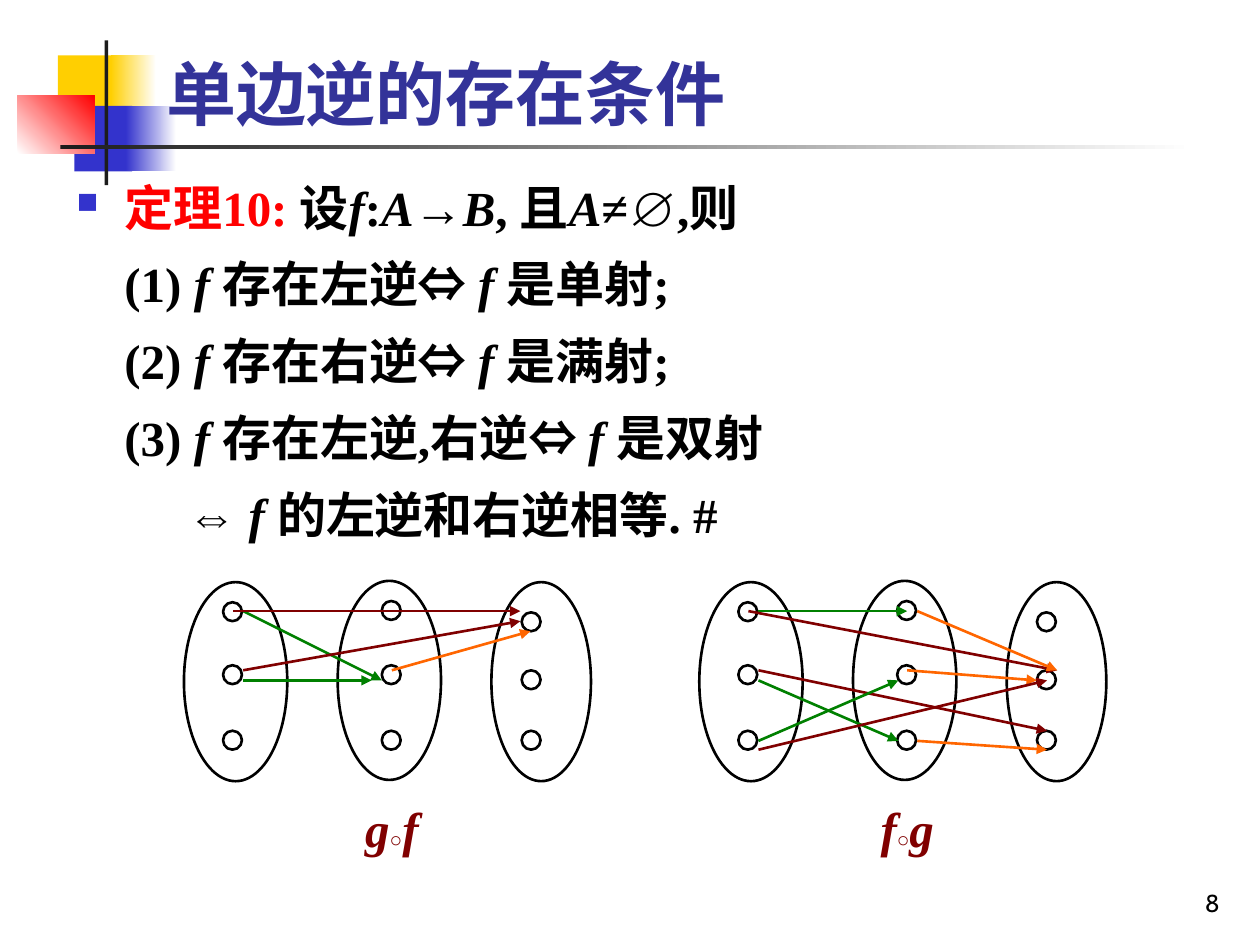
from lxml import etree
from pptx import Presentation
from pptx.dml.color import RGBColor
from pptx.enum.shapes import MSO_CONNECTOR, MSO_SHAPE
from pptx.enum.text import MSO_ANCHOR, PP_ALIGN
from pptx.oxml.ns import qn
from pptx.util import Inches, Pt

RECTANGLE, OVAL = MSO_SHAPE.RECTANGLE, MSO_SHAPE.OVAL
STRAIGHT = MSO_CONNECTOR.STRAIGHT
TOP, BOTTOM = MSO_ANCHOR.TOP, MSO_ANCHOR.BOTTOM
LEFT, RIGHT = PP_ALIGN.LEFT, PP_ALIGN.RIGHT

THEME = {
    "serif": "Times New Roman", "sans": "Cabin",
    "title_size": 40, "body_size": 28, "number_size": 14, "circle_size": 12,
    "title": "333399", "text": "000000", "theorem": "FF0000", "bullet": "3333CC",
    "yellow": "FFCF01", "blue": "3333CC", "red": "FF0000", "dark": "1C1C1C",
    "white": "FFFFFF", "green": "008000", "orange": "FF6600", "maroon": "800000",
    "line_width": 1.5,
}

TITLE = "单边逆的存在条件"
PAGE_NUMBER = "8"
THEOREM = "定理10: "
# Asterisks enclose italic symbols.
BODY = [
    "设*f*:*A*→*B*, 且*A*≠∅,则",
    "\t(1) *f *存在左逆⇔ *f *是单射;",
    "\t(2) *f *存在右逆⇔ *f *是满射;",
    "\t(3) *f *存在左逆,右逆⇔ *f *是双射",
    "\t\t⇔ *f *的左逆和右逆相等. #",
]

DECORATIONS = [
    ((0.46, 0.44, 0.48, 0.52), ["yellow"], 0),
    ((0.88, 0.44, 0.36, 0.52), ["yellow", "white"], 0),
    ((0.59, 0.84, 0.46, 0.52), ["blue"], 0),
    ((1, 0.84, 0.4, 0.52), ["blue", "white"], 0),
    ((0.14, 0.76, 0.61, 0.46), ["white", "red"], 45),
    ((0.83, 0.32, 0.03, 1.15), ["dark"], 0),
    ((0.48, 1.15, 9, 0.03), ["dark", "white"], 0),
]

SETS = [
    {"oval": (1.46, 4.62, 0.82, 1.58), "dot_left": 1.77, "dot_tops": (4.78, 5.28, 5.8)},
    {"oval": (3.9, 4.62, 0.79, 1.58), "dot_left": 4.14, "dot_tops": (4.86, 5.32, 5.8)},
    {"oval": (2.68, 4.61, 0.82, 1.58), "dot_left": 3.03, "dot_tops": (4.77, 5.28, 5.8)},
]
DOT_SIZE = 0.15
LABEL_BOX = (2.8, 6.24, 0.94, 0.62)

DIAGRAMS = [
    {"offset": 0, "label": "gf", "arrows": [
        ("green", (1.93, 4.85), (3.03, 5.4)),
        ("green", (1.93, 5.4), (2.95, 5.4)),
        ("orange", (3.11, 5.32), (4.21, 5.01)),
        ("maroon", (1.85, 4.85), (4.13, 4.85)),
        ("maroon", (1.93, 5.32), (4.13, 4.93)),
    ]},
    {"offset": 4.09, "label": "fg", "arrows": [
        ("green", (1.93, 4.85), (3.11, 4.85)),
        ("green", (1.93, 5.4), (3.04, 5.88)),
        ("orange", (3.11, 5.32), (4.14, 5.4)),
        ("maroon", (1.85, 4.85), (4.3, 5.32)),
        ("maroon", (1.93, 5.32), (4.22, 5.8)),
        ("green", (1.93, 5.88), (3.04, 5.4)),
        ("maroon", (1.93, 5.95), (4.22, 5.4)),
        ("orange", (3.19, 4.85), (4.3, 5.32)),
        ("orange", (3.19, 5.88), (4.22, 5.95)),
    ]},
]


def color(name):
    return RGBColor.from_string(THEME[name])


def inches(values):
    return [Inches(value) for value in values]


def add_block(slide, box, colors, angle):
    shape = slide.shapes.add_shape(RECTANGLE, *inches(box))
    shape.shadow.inherit = False
    shape.line.fill.background()
    if len(colors) == 1:
        shape.fill.solid()
        shape.fill.fore_color.rgb = color(colors[0])
        return
    shape.fill.gradient()
    shape.fill.gradient_angle = angle
    for stop, name in zip(shape.fill.gradient_stops, colors):
        stop.color.rgb = color(name)


def add_oval(slide, box):
    shape = slide.shapes.add_shape(OVAL, *inches(box))
    shape.shadow.inherit = False
    shape.fill.background()
    shape.line.color.rgb = color("text")
    shape.line.width = Pt(THEME["line_width"])


def add_arrow(slide, name, start, end):
    connector = slide.shapes.add_connector(STRAIGHT, *inches(start + end))
    connector.line.color.rgb = color(name)
    connector.line.width = Pt(THEME["line_width"])
    etree.SubElement(connector.line._get_or_add_ln(), qn("a:tailEnd"), type="triangle")
    etree.SubElement(connector._element.spPr, qn("a:effectLst"))


def add_text_frame(slide, box, anchor=TOP):
    frame = slide.shapes.add_textbox(*inches(box)).text_frame
    frame.word_wrap = True
    frame.vertical_anchor = anchor
    return frame


def style(paragraph, size, name, font="serif", bold=True, align=LEFT):
    paragraph.alignment = align
    paragraph.font.name = THEME[font]
    paragraph.font.size = Pt(THEME[size])
    paragraph.font.bold = bold
    paragraph.font.color.rgb = color(name)


def add_run(paragraph, text, italic=False):
    run = paragraph.add_run()
    run.text = text
    run.font.italic = italic
    return run


def format_body(paragraph, bullet=False):
    paragraph.line_spacing = 1.1
    paragraph.space_before = Pt(7)
    properties = paragraph._p.get_or_add_pPr()
    properties.set("marL", str(Inches(0.38)))
    properties.set("indent", str(Inches(-0.38)))
    if bullet:
        bullet_color = etree.SubElement(properties, qn("a:buClr"))
        etree.SubElement(bullet_color, qn("a:srgbClr"), val=THEME["bullet"])
        etree.SubElement(properties, qn("a:buSzPct"), val="60000")
        etree.SubElement(properties, qn("a:buChar"), char="■")
    else:
        etree.SubElement(properties, qn("a:buNone"))
    tabs = etree.SubElement(properties, qn("a:tabLst"))
    for position in range(8):
        etree.SubElement(tabs, qn("a:tab"), pos=str(Inches(0.38 + position)), algn="l")


def add_body(slide):
    frame = add_text_frame(slide, (0.51, 1.31, 9.13, 5.43))
    for index, line in enumerate(BODY):
        paragraph = frame.add_paragraph() if index else frame.paragraphs[0]
        format_body(paragraph, bullet=index == 0)
        style(paragraph, "body_size", "text")
        if index == 0:
            add_run(paragraph, THEOREM).font.color.rgb = color("theorem")
        for part, text in enumerate(line.split("*")):
            add_run(paragraph, text, italic=part % 2 == 1)


def add_diagram(slide, offset, label, arrows):
    def shift(point):
        return (point[0] + offset,) + point[1:]

    for group in SETS:
        add_oval(slide, shift(group["oval"]))
        for top in group["dot_tops"]:
            add_oval(slide, shift((group["dot_left"], top, DOT_SIZE, DOT_SIZE)))
    paragraph = add_text_frame(slide, shift(LABEL_BOX)).paragraphs[0]
    format_body(paragraph)
    style(paragraph, "body_size", "maroon")
    add_run(paragraph, label[0], italic=True)
    add_run(paragraph, "○").font.size = Pt(THEME["circle_size"])
    add_run(paragraph, label[1], italic=True)
    for name, start, end in arrows:
        add_arrow(slide, name, shift(start), shift(end))


def main():
    presentation = Presentation()
    presentation.slide_width, presentation.slide_height = Inches(10), Inches(7.5)
    slide = presentation.slides.add_slide(presentation.slide_layouts[6])
    for decoration in DECORATIONS:
        add_block(slide, *decoration)
    number = add_text_frame(slide, (7.7, 6.83, 2.08, 0.5), BOTTOM).paragraphs[0]
    number.text = PAGE_NUMBER
    style(number, "number_size", "text", font="sans", bold=False, align=RIGHT)
    title = add_text_frame(slide, (1.22, 0.28, 8.52, 0.84), BOTTOM).paragraphs[0]
    title.text = TITLE
    style(title, "title_size", "title")
    add_body(slide)
    for diagram in DIAGRAMS:
        add_diagram(slide, **diagram)
    presentation.save("out.pptx")


if __name__ == "__main__":
    main()
